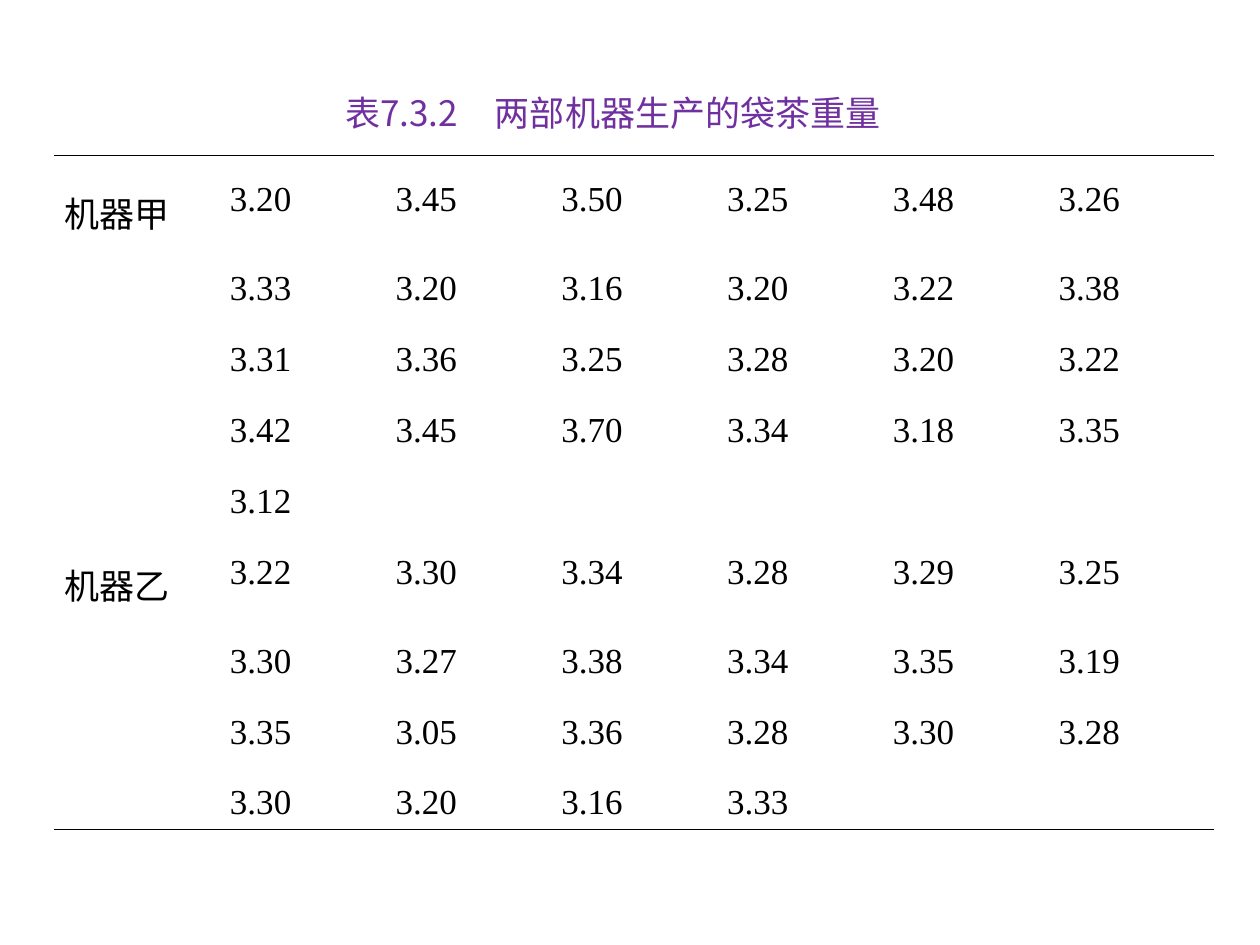
from lxml import etree
from pptx import Presentation
from pptx.dml.color import RGBColor
from pptx.enum.text import PP_ALIGN
from pptx.oxml.ns import qn
from pptx.util import Inches, Pt

LEFT, JUSTIFY = PP_ALIGN.LEFT, PP_ALIGN.JUSTIFY
NO_STYLE = "{2D5ABB26-0587-4C30-8999-92F81FD0307C}"
SANS, SERIF = "Noto Sans CJK SC", "Times New Roman"
PURPLE, BLACK = "7030A0", "000000"

TITLE = "表7.3.2\t两部机器生产的袋茶重量"
TITLE_TAB = 1.19
WEIGHTS = {
    "机器甲": [
        "3.20 3.45 3.50 3.25 3.48 3.26",
        "3.33 3.20 3.16 3.20 3.22 3.38",
        "3.31 3.36 3.25 3.28 3.20 3.22",
        "3.42 3.45 3.70 3.34 3.18 3.35",
        "3.12",
    ],
    "机器乙": [
        "3.22 3.30 3.34 3.28 3.29 3.25",
        "3.30 3.27 3.38 3.34 3.35 3.19",
        "3.35 3.05 3.36 3.28 3.30 3.28",
        "3.30 3.20 3.16 3.33",
    ],
}
COLUMNS = 7
TABLE_LEFT, TABLE_TOP, TABLE_WIDTH, ROW_HEIGHT = 0.43, 1.23, 9.21, 0.56


def color(value):
    return RGBColor.from_string(value)


def write(frame, text, font=SERIF, size=20, fill=BLACK, align=LEFT, spacing=1.0, tab=None):
    paragraph = frame.paragraphs[0]
    paragraph.alignment = align
    paragraph.line_spacing = spacing
    if tab:
        tabs = etree.SubElement(paragraph._p.get_or_add_pPr(), qn("a:tabLst"))
        etree.SubElement(tabs, qn("a:tab"), pos=str(Inches(tab)), algn="l")
    run = paragraph.add_run()
    run.text = text
    run.font.name = font
    run.font.size = Pt(size)
    run.font.color.rgb = color(fill)
    etree.SubElement(run._r.get_or_add_rPr(), qn("a:ea"), typeface=SANS)


def rule(cell, side):
    line = etree.Element(qn(f"a:{side}"), w=str(Pt(0.45)))
    solid = etree.SubElement(line, qn("a:solidFill"))
    etree.SubElement(solid, qn("a:srgbClr"), val=BLACK)
    cell._tc.get_or_add_tcPr().insert(0, line)


def main():
    prs = Presentation()
    prs.slide_width, prs.slide_height = Inches(10), Inches(7.5)
    slide = prs.slides.add_slide(prs.slide_layouts[6])

    rows = [
        [machine if i == 0 else ""] + values.split()
        for machine, lines in WEIGHTS.items()
        for i, values in enumerate(lines)
    ]
    frame = slide.shapes.add_table(
        len(rows), COLUMNS, Inches(TABLE_LEFT), Inches(TABLE_TOP),
        Inches(TABLE_WIDTH), Inches(ROW_HEIGHT * len(rows)))
    table = frame.table
    table.first_row = table.horz_banding = False
    table._tbl.tblPr.find(qn("a:tableStyleId")).text = NO_STYLE

    for r, row in enumerate(rows):
        for c in range(COLUMNS):
            cell = table.cell(r, c)
            cell.margin_left = cell.margin_right = Inches(0.08)
            cell.margin_top = cell.margin_bottom = Inches(0.05)
            cell.fill.background()
            if c < len(row) and row[c]:
                write(cell.text_frame, row[c], align=JUSTIFY, spacing=1.5)
            if r == 0:
                rule(cell, "lnT")
            if r == len(rows) - 1:
                rule(cell, "lnB")

    title = slide.shapes.add_textbox(Inches(2.64), Inches(0.68), Inches(4.8), Inches(0.44))
    title.text_frame.word_wrap = True
    write(title.text_frame, TITLE, font=SANS, fill=PURPLE, tab=TITLE_TAB)

    prs.save("out.pptx")


if __name__ == "__main__":
    main()
